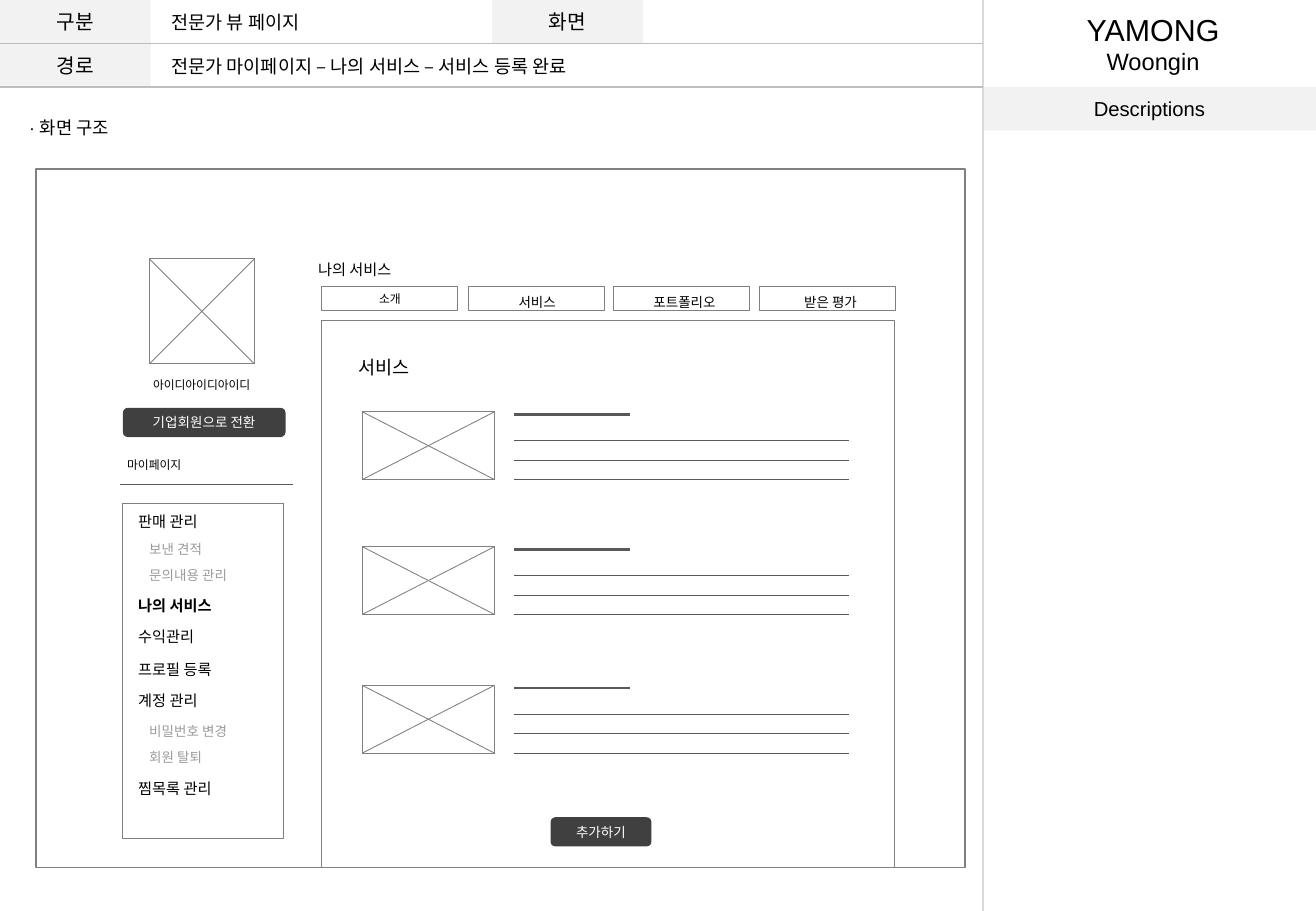
from dataclasses import dataclass

from lxml.etree import SubElement
from pptx import Presentation
from pptx.dml.color import RGBColor
from pptx.enum.shapes import MSO_CONNECTOR, MSO_SHAPE
from pptx.enum.text import MSO_ANCHOR, MSO_AUTO_SIZE, PP_ALIGN
from pptx.oxml.ns import qn
from pptx.util import Cm, Pt

BLACK = RGBColor(0x00, 0x00, 0x00)
WHITE = RGBColor(0xFF, 0xFF, 0xFF)
HEADER_FILL = RGBColor(0xF2, 0xF2, 0xF2)
DIVIDER = RGBColor(0xD9, 0xD9, 0xD9)
RULE = RGBColor(0xBF, 0xBF, 0xBF)
OUTLINE = RGBColor(0x80, 0x80, 0x80)
STROKE = RGBColor(0x59, 0x59, 0x59)
BUTTON = RGBColor(0x40, 0x40, 0x40)
MUTED = RGBColor(0x9B, 0x9B, 0x9B)

PAGE_WIDTH, PAGE_HEIGHT = 27.51, 19.05
SIDE_LEFT = 20.55
ROW_HEIGHT = 0.91
HEADER_BOTTOM = 2 * ROW_HEIGHT


@dataclass(frozen=True)
class Area:
    left: float
    top: float
    width: float
    height: float

    def lengths(self):
        return Cm(self.left), Cm(self.top), Cm(self.width), Cm(self.height)


@dataclass(frozen=True)
class Label:
    text: str
    area: Area
    size: float
    color: RGBColor = BLACK
    bold: bool = False
    wrap: bool = False
    align: PP_ALIGN = PP_ALIGN.LEFT


@dataclass(frozen=True)
class Block:
    """A filled shape with centred text."""
    text: str
    area: Area
    size: float
    fill: RGBColor = HEADER_FILL
    color: RGBColor = BLACK
    kind: MSO_SHAPE = MSO_SHAPE.RECTANGLE


@dataclass(frozen=True)
class MenuItem:
    text: str
    top: float
    width: float
    sub: bool = False
    bold: bool = False


HEADER_BLOCKS = [
    Block("구분", Area(0, 0, 3.15, ROW_HEIGHT), 12),
    Block("경로", Area(0, ROW_HEIGHT, 3.15, ROW_HEIGHT), 12),
    Block("화면", Area(10.29, 0, 3.15, ROW_HEIGHT), 12),
    Block("Descriptions", Area(SIDE_LEFT, HEADER_BOTTOM, PAGE_WIDTH - SIDE_LEFT, ROW_HEIGHT), 12),
]
BUTTONS = [
    Block("기업회원으로 전환", Area(2.57, 8.53, 3.4, 0.61), 8, BUTTON, WHITE, MSO_SHAPE.ROUNDED_RECTANGLE),
    Block("추가하기", Area(11.51, 17.09, 2.11, 0.61), 8, BUTTON, WHITE, MSO_SHAPE.ROUNDED_RECTANGLE),
]
LABELS = [
    Label("전문가 뷰 페이지", Area(3.33, 0.1, 3.48, 0.74), 11),
    Label("전문가 마이페이지 – 나의 서비스 – 서비스 등록 완료", Area(3.33, 1.02, 9.65, 0.74), 11),
    Label("· 화면 구조", Area(0.36, 2.31, 2.41, 0.74), 10.5),
    Label("아이디아이디아이디", Area(2.95, 7.77, 3.38, 1.37), 7, wrap=True),
    Label("마이페이지", Area(2.41, 9.45, 1.75, 0.56), 7),
    Label("나의 서비스", Area(6.4, 5.31, 2.21, 0.64), 9),
    Label("서비스", Area(10.59, 6.02, 1.37, 0.61), 8),
    Label("포트폴리오", Area(13.41, 6.02, 1.93, 0.61), 8),
    Label("받은 평가", Area(16.56, 6.02, 1.73, 0.61), 8),
    Label("서비스", Area(7.24, 7.32, 1.68, 0.74), 11),
]
MENU = [
    MenuItem("판매 관리", 10.59, 1.88),
    MenuItem("보낸 견적", 11.18, 1.75, sub=True),
    MenuItem("문의내용 관리", 11.73, 2.31, sub=True),
    MenuItem("나의 서비스", 12.34, 2.21, bold=True),
    MenuItem("수익관리", 13.0, 1.8),
    MenuItem("프로필 등록", 13.69, 2.21),
    MenuItem("계정 관리", 14.33, 1.88),
    MenuItem("비밀번호 변경", 14.99, 2.29, sub=True),
    MenuItem("회원 탈퇴", 15.54, 1.73, sub=True),
    MenuItem("찜목록 관리", 16.18, 2.21),
]
TAB_LEFTS = [6.73, 9.8, 12.83, 15.88]
CARD_TOPS = [8.61, 11.43, 14.33]


def write(frame, text: str, sizes: list[float], color: RGBColor, align: PP_ALIGN, bold: bool = False) -> None:
    frame.text = text
    for para, size in zip(frame.paragraphs, sizes):
        para.alignment = align
        for span in para.runs:
            span.font.name = "Arial"
            span.font.size = Pt(size)
            span.font.color.rgb = color
            span.font.bold = bold


def add_label(page, label: Label, *next_sizes: float):
    """Add a text box; next_sizes are the sizes of the paragraphs after the first."""
    box = page.shapes.add_textbox(*label.area.lengths())
    box.text_frame.word_wrap = label.wrap
    box.text_frame.auto_size = MSO_AUTO_SIZE.SHAPE_TO_FIT_TEXT
    write(box.text_frame, label.text, [label.size, *next_sizes], label.color, label.align, label.bold)


def add_block(page, block: Block) -> None:
    shape = page.shapes.add_shape(block.kind, *block.area.lengths())
    shape.shadow.inherit = False
    shape.fill.solid()
    shape.fill.fore_color.rgb = block.fill
    shape.line.fill.background()
    shape.text_frame.vertical_anchor = MSO_ANCHOR.MIDDLE
    write(shape.text_frame, block.text, [block.size], block.color, PP_ALIGN.CENTER)


def add_outline(shapes, area: Area, weight: float = 0.5):
    shape = shapes.add_shape(MSO_SHAPE.RECTANGLE, *area.lengths())
    shape.shadow.inherit = False
    shape.fill.background()
    shape.line.color.rgb = OUTLINE
    shape.line.width = Pt(weight)
    return shape


def add_line(shapes, start: tuple[float, float], end: tuple[float, float], color: RGBColor, weight: float) -> None:
    line = shapes.add_connector(MSO_CONNECTOR.STRAIGHT, *map(Cm, start + end))
    line.line.color.rgb = color
    line.line.width = Pt(weight)
    SubElement(line._element.spPr, qn("a:effectLst"))


def add_crossed_frame(shapes, area: Area) -> None:
    """Add the wireframe sign for an image: a rectangle with both diagonals."""
    right, bottom = area.left + area.width, area.top + area.height
    add_outline(shapes, area)
    add_line(shapes, (area.left, bottom), (right, area.top), OUTLINE, 0.5)
    add_line(shapes, (right, bottom), (area.left, area.top), OUTLINE, 0.5)


def add_service_card(page, top: float) -> None:
    shapes = page.shapes.add_group_shape().shapes
    add_crossed_frame(shapes, Area(7.57, top, 2.77, 1.42))
    add_line(shapes, (10.74, top + 0.06), (13.16, top + 0.06), STROKE, 1.5)
    for offset in (0.6, 1.01, 1.42):
        add_line(shapes, (10.74, top + offset), (17.75, top + offset), STROKE, 0.25)


def add_header(page) -> None:
    for block in HEADER_BLOCKS:
        add_block(page, block)
    add_line(page.shapes, (SIDE_LEFT, 0), (SIDE_LEFT, PAGE_HEIGHT), DIVIDER, 0.75)
    for bottom in (ROW_HEIGHT, HEADER_BOTTOM):
        add_line(page.shapes, (0, bottom), (SIDE_LEFT, bottom), RULE, 0.75)
    add_label(page, Label("YAMONG\nWoongin", Area(22.43, 0.1, 3.35, 1.63), 18, align=PP_ALIGN.CENTER), 14)


def add_wireframe(page) -> None:
    add_outline(page.shapes, Area(0.76, 3.53, 19.41, 14.61), 1)
    add_crossed_frame(page.shapes.add_group_shape().shapes, Area(3.12, 5.41, 2.2, 2.2))
    add_line(page.shapes, (2.51, 10.13), (6.12, 10.13), STROKE, 0.75)
    add_outline(page.shapes, Area(6.71, 6.71, 11.99, 11.43))
    add_outline(page.shapes, Area(2.57, 10.52, 3.35, 7.01))
    tabs = [add_outline(page.shapes, Area(left, 5.99, 2.84, 0.51)) for left in TAB_LEFTS]
    tabs[0].text_frame.vertical_anchor = MSO_ANCHOR.MIDDLE
    write(tabs[0].text_frame, "소개", [7], BLACK, PP_ALIGN.CENTER)
    for top in CARD_TOPS:
        add_service_card(page, top)
    for button in BUTTONS:
        add_block(page, button)
    for label in LABELS:
        add_label(page, label)
    for item in MENU:
        left, size, color = (2.87, 8, MUTED) if item.sub else (2.64, 9, BLACK)
        add_label(page, Label(item.text, Area(left, item.top, item.width, 0.62), size, color, item.bold))


def main() -> None:
    deck = Presentation()
    deck.slide_width, deck.slide_height = Cm(PAGE_WIDTH), Cm(PAGE_HEIGHT)
    page = deck.slides.add_slide(deck.slide_layouts[6])
    add_header(page)
    add_wireframe(page)
    deck.save("out.pptx")


if __name__ == "__main__":
    main()
